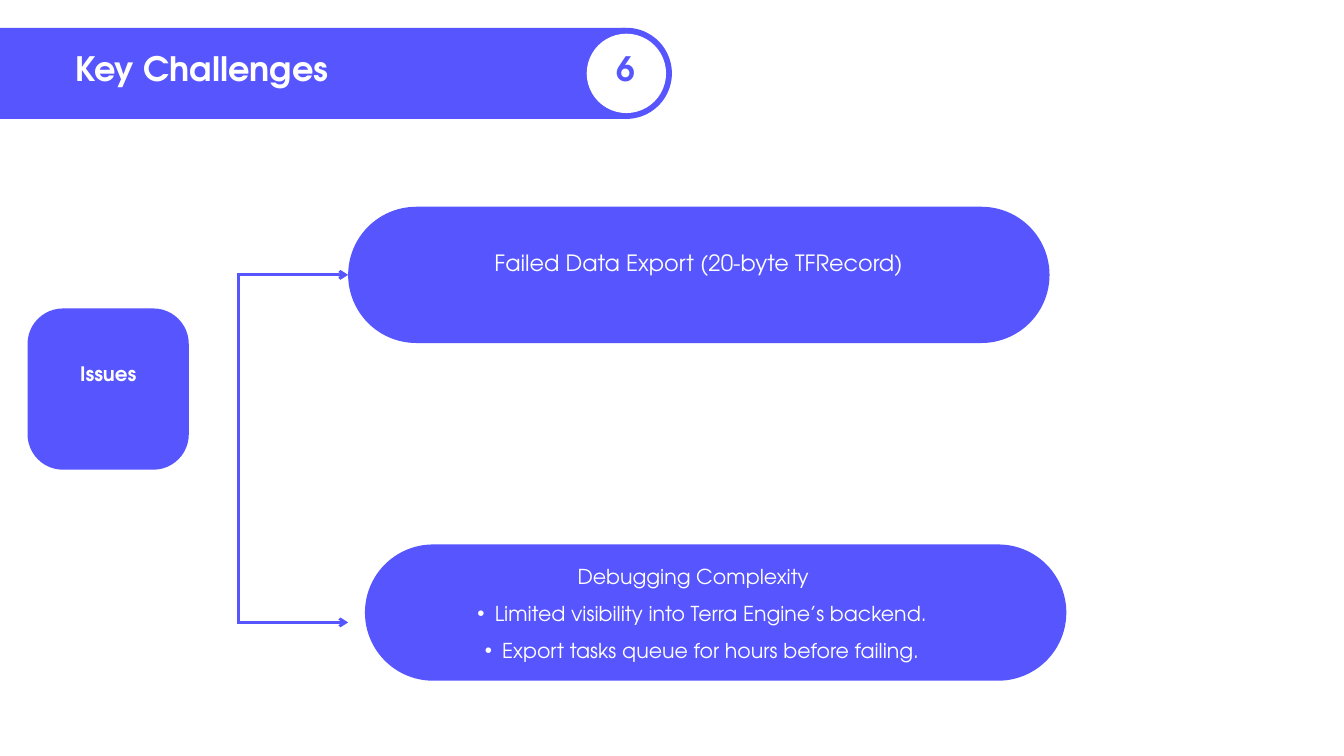
from lxml import etree
from pptx import Presentation
from pptx.dml.color import RGBColor
from pptx.enum.shapes import MSO_CONNECTOR, MSO_SHAPE
from pptx.enum.text import MSO_ANCHOR, MSO_AUTO_SIZE, PP_ALIGN
from pptx.oxml.ns import qn
from pptx.util import Pt

RECTANGLE, OVAL, ROUNDED = MSO_SHAPE.RECTANGLE, MSO_SHAPE.OVAL, MSO_SHAPE.ROUNDED_RECTANGLE
STRAIGHT = MSO_CONNECTOR.STRAIGHT
LEFT, CENTER = PP_ALIGN.LEFT, PP_ALIGN.CENTER
TOP = MSO_ANCHOR.TOP
NO_AUTOFIT = MSO_AUTO_SIZE.NONE

VIOLET = RGBColor(0x57, 0x55, 0xFE)
WHITE = RGBColor(0xFF, 0xFF, 0xFF)
FONT = "TeX Gyre Adventor"
LEFT_SIDE = 1

deck = Presentation()
deck.slide_width, deck.slide_height = Pt(1440), Pt(810)
page = deck.slides.add_slide(deck.slide_layouts[5])
title = page.shapes.title


def add_solid(kind, left, top, width, height, color=VIOLET, rounding=None):
    shape = page.shapes.add_shape(kind, Pt(left), Pt(top), Pt(width), Pt(height))
    shape.shadow.inherit = False
    shape.fill.solid()
    shape.fill.fore_color.rgb = color
    shape.line.fill.background()
    if rounding is not None:
        shape.adjustments[0] = rounding
    return shape


def write(box, place, lines, size, spacing, color=WHITE, bold=False, align=CENTER):
    """Place a text holder and fill it; lines starting with a bullet become list items."""
    box.left, box.top, box.width, box.height = [Pt(value) for value in place]
    frame = box.text_frame
    frame.word_wrap = True
    frame.auto_size = NO_AUTOFIT
    frame.vertical_anchor = TOP
    frame.margin_left = frame.margin_top = frame.margin_right = frame.margin_bottom = 0
    for index, line in enumerate(lines):
        para = frame.add_paragraph() if index else frame.paragraphs[0]
        para.alignment = align
        para.line_spacing = Pt(spacing)
        if line.startswith("•"):
            para.level = 1
            properties = para._p.get_or_add_pPr()
            properties.set("marL", str(Pt(37.4)))
            properties.set("indent", str(-Pt(18.7)))
            etree.SubElement(properties, qn("a:buFont")).set("typeface", "Arial")
            etree.SubElement(properties, qn("a:buChar")).set("char", "•")
        span = para.add_run()
        span.text = line.lstrip("•")
        span.font.name = FONT
        span.font.size = Pt(size)
        span.font.bold = bold
        span.font.color.rgb = color


# Header band with the number badge
add_solid(RECTANGLE, 0, 29.8, 670.5, 97.6)
add_solid(OVAL, 622.3, 29.8, 97.6, 97.6)
badge = add_solid(OVAL, 628.6, 36.1, 85, 85, WHITE)
badge.element.addnext(title.element)

# Issue pills and their root
export_pill = add_solid(ROUNDED, 373, 221.5, 751.5, 146, rounding=0.5)
add_solid(ROUNDED, 391, 583.3, 751.5, 146, rounding=0.5)
add_solid(ROUNDED, 29.5, 330.5, 172.8, 172.8, rounding=0.22)

# Bracket: two arrows and the upright between them
for start, end, arrow, target in (
    ((254.3, 294.5), (373, 294.5), True, export_pill),
    ((254.3, 666.9), (373, 666.9), True, None),
    ((255.8, 668.2), (255.8, 294.5), False, None),
):
    link = page.shapes.add_connector(STRAIGHT, *[Pt(value) for value in start + end])
    link.line.color.rgb = VIOLET
    link.line.width = Pt(3)
    if target is not None:
        link.end_connect(target, LEFT_SIDE)
    if arrow:
        etree.SubElement(link.line._get_or_add_ln(), qn("a:tailEnd")).set("type", "arrow")
    etree.SubElement(link.element.spPr, qn("a:effectLst"))

# Title and labels
write(title, (80.6, 51, 502, 60), ["Key Challenges"], 36, 43.2, bold=True, align=LEFT)
for place, lines, size, spacing, color, bold in (
    ((650, 51, 41, 49), ["6"], 36, 43.2, VIOLET, True),
    ((396.7, 252.7, 703.4, 86.4), ["Failed Data Export (20-byte TFRecord)"], 24, 43.2, WHITE, False),
    ((391, 591.1, 703.4, 119),
     ["Debugging Complexity",
      "•Limited visibility into Terra Engine’s backend.",
      "•Export tasks queue for hours before failing."], 22, 39.6, WHITE, False),
    ((43.9, 387.4, 144, 29.5), ["Issues"], 21.3, 25.6, WHITE, True),
):
    box = page.shapes.add_textbox(0, 0, 0, 0)
    write(box, place, lines, size, spacing, color, bold)

deck.save("out.pptx")
